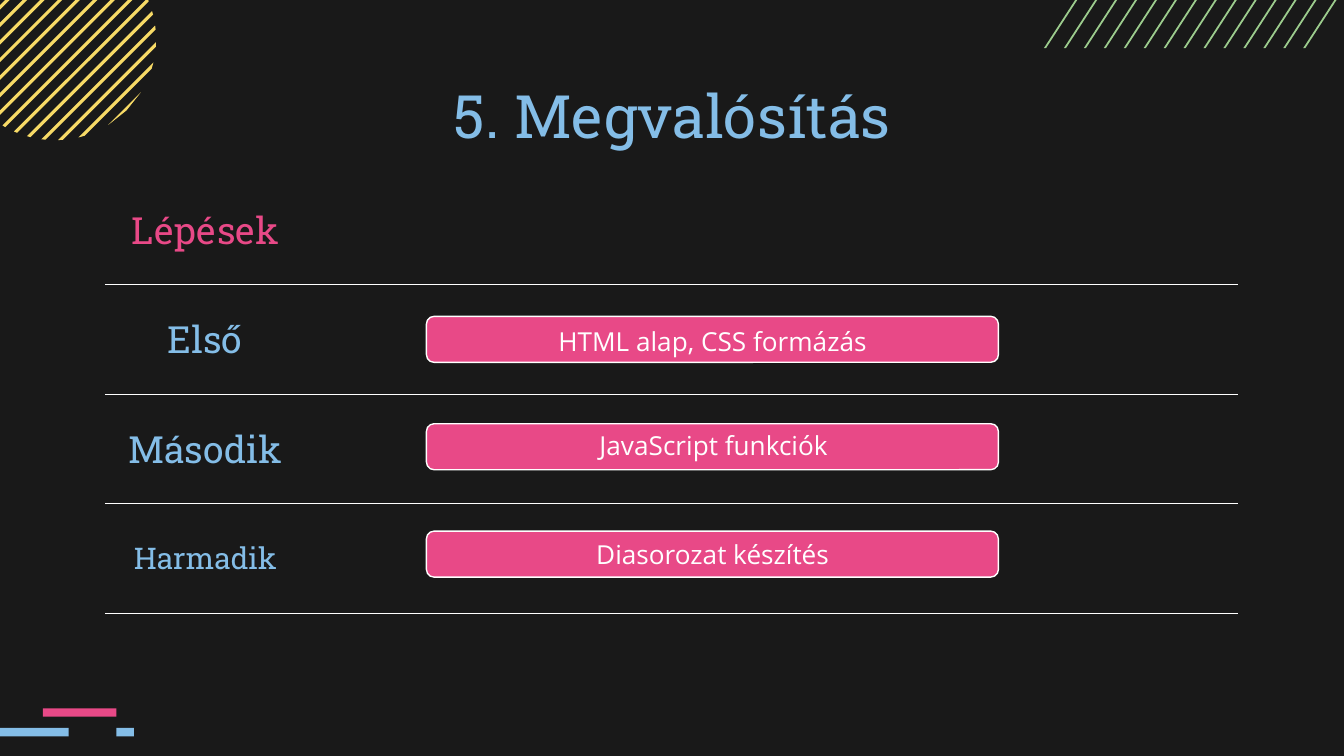
import math
import pptx
import pptx.util
import pptx.dml.color
import pptx.enum.shapes
import pptx.enum.text
import pptx.oxml
import pptx.oxml.ns

Cm = pptx.util.Cm
Pt = pptx.util.Pt
Kind = pptx.enum.shapes.MSO_SHAPE

DARK, WHITE = "191919", "FFFFFF"
BLUE, PINK, GREEN, GOLD = "84BDE7", "E84987", "9CCC8D", "F7DA66"
SLAB, SANS = "Roboto Slab", "Open Sans"


def paint(fill, color):
    fill.solid()
    fill.fore_color.rgb = pptx.dml.color.RGBColor.from_string(color)


def write(frame, text, size=14, font=SANS, color=WHITE):
    para = frame.paragraphs[0]
    para.alignment = pptx.enum.text.PP_ALIGN.CENTER
    run = para.add_run()
    run.text = text
    run.font.size = Pt(size)
    run.font.name = font
    paint(run.font.fill, color)


def label(slide, text, x, y, w, h, **style):
    frame = slide.shapes.add_textbox(Cm(x), Cm(y), Cm(w), Cm(h)).text_frame
    frame.word_wrap = True
    frame.vertical_anchor = pptx.enum.text.MSO_ANCHOR.MIDDLE
    for side in ("left", "right", "top", "bottom"):
        setattr(frame, "margin_" + side, Cm(0.25))
    write(frame, text, **style)


def block(slide, kind, x, y, w, h, color, edge=None):
    shape = slide.shapes.add_shape(kind, Cm(x), Cm(y), Cm(w), Cm(h))
    shape.shadow.inherit = False
    paint(shape.fill, color)
    if edge:
        paint(shape.line.fill, edge)
        shape.line.width = Pt(0.75)
    else:
        shape.line.fill.background()


def patch(slide, points, color):
    spots = [(Cm(x), Cm(y)) for x, y in points]
    pen = slide.shapes.build_freeform(*spots[0], scale=1.0)
    pen.add_line_segments(spots[1:], close=True)
    shape = pen.convert_to_shape()
    shape.shadow.inherit = False
    paint(shape.fill, color)
    shape.line.fill.background()


def slashes(slide, first, last, count):
    step = (last - first) / (count - 1)
    for i in range(count):
        x = first + i * step
        patch(slide, [(x, 0.91), (x + 0.72, -0.2),
                      (x + 0.76, -0.2), (x + 0.04, 0.91)], GREEN)


def disc(slide, mid_x, mid_y, rad, first, last, count, thick):
    # Diagonal stripes, each cut off by the circle
    def chord(off):
        off = max(-rad, min(rad, off))
        half = math.sqrt(rad * rad - off * off)
        return [(mid_x + (off + s * half) / math.sqrt(2),
                 mid_y + (off - s * half) / math.sqrt(2)) for s in (1, -1)]

    for i in range(count):
        off = first + i * (last - first) / (count - 1)
        near, far = chord(off - thick / 2), chord(off + thick / 2)
        patch(slide, near + far[::-1], GOLD)


def rule(cell, sides):
    # White lines on the named sides, none on the others
    props = cell._tc.get_or_add_tcPr()
    space = pptx.oxml.ns.nsdecls("a")
    for i, side in enumerate("LRTB"):
        ink = "<a:noFill/>"
        if side in sides:
            ink = f'<a:solidFill><a:srgbClr val="{WHITE}"/></a:solidFill>'
        xml = f'<a:ln{side} {space} w="9525">{ink}</a:ln{side}>'
        props.insert(i, pptx.oxml.parse_xml(xml))


def grid(slide, rows, widths, x, y, high):
    frame = slide.shapes.add_table(len(rows), len(widths), Cm(x), Cm(y),
                                   Cm(sum(widths)), Cm(high * len(rows)))
    table = frame.table
    table.first_row = table.horz_banding = False
    for col, wide in zip(table.columns, widths):
        col.width = Cm(wide)
    for i, (text, size, color) in enumerate(rows):
        row = table.rows[i]
        row.height = Cm(high)
        for cell in row.cells:
            cell.fill.background()
            rule(cell, "TB" if i else "B")
        head = row.cells[0]
        head.vertical_anchor = pptx.enum.text.MSO_ANCHOR.MIDDLE
        write(head.text_frame, text, size=size, font=SLAB, color=color)


def main():
    deck = pptx.Presentation()
    deck.slide_width, deck.slide_height = Cm(25.4), Cm(14.29)
    slide = deck.slides.add_slide(deck.slide_layouts[6])
    paint(slide.background.fill, DARK)

    # Corner decoration
    slashes(slide, 19.73, 24.63, 14)
    disc(slide, 1.04, 0.74, 1.91, -1.16, 1.89, 14, 0.06)
    for x, y, w, color in ((0, 13.76, 1.3, BLUE), (0.81, 13.39, 1.39, PINK),
                           (2.2, 13.76, 0.33, BLUE)):
        block(slide, Kind.RECTANGLE, x, y, w, 0.16, color)

    # Title and table of steps
    label(slide, "5. Megvalósítás", 2, 1.5, 21.42, 1.32,
          size=32, font=SLAB, color=BLUE)
    rows = [("Lépések", 20, PINK), ("Első", 20, BLUE),
            ("Második", 20, BLUE), ("Harmadik", 16, BLUE)]
    grid(slide, rows, [3.8, 2.31] + [3.06] * 5, 1.98, 3.31, 2.07)

    # Task bars
    tasks = [("HTML alap, CSS formázás", 8.67, 6.12),
             ("JavaScript funkciók", 8.69, 8.1),
             ("Diasorozat készítés", 8.67, 10.16)]
    for i, (text, left, top) in enumerate(tasks):
        block(slide, Kind.ROUNDED_RECTANGLE, 8.06, 5.98 + i * 2.03,
              10.81, 0.87, PINK, edge=WHITE)
        label(slide, text, left, top, 9.6, 0.64)

    deck.save("out.pptx")


main()
